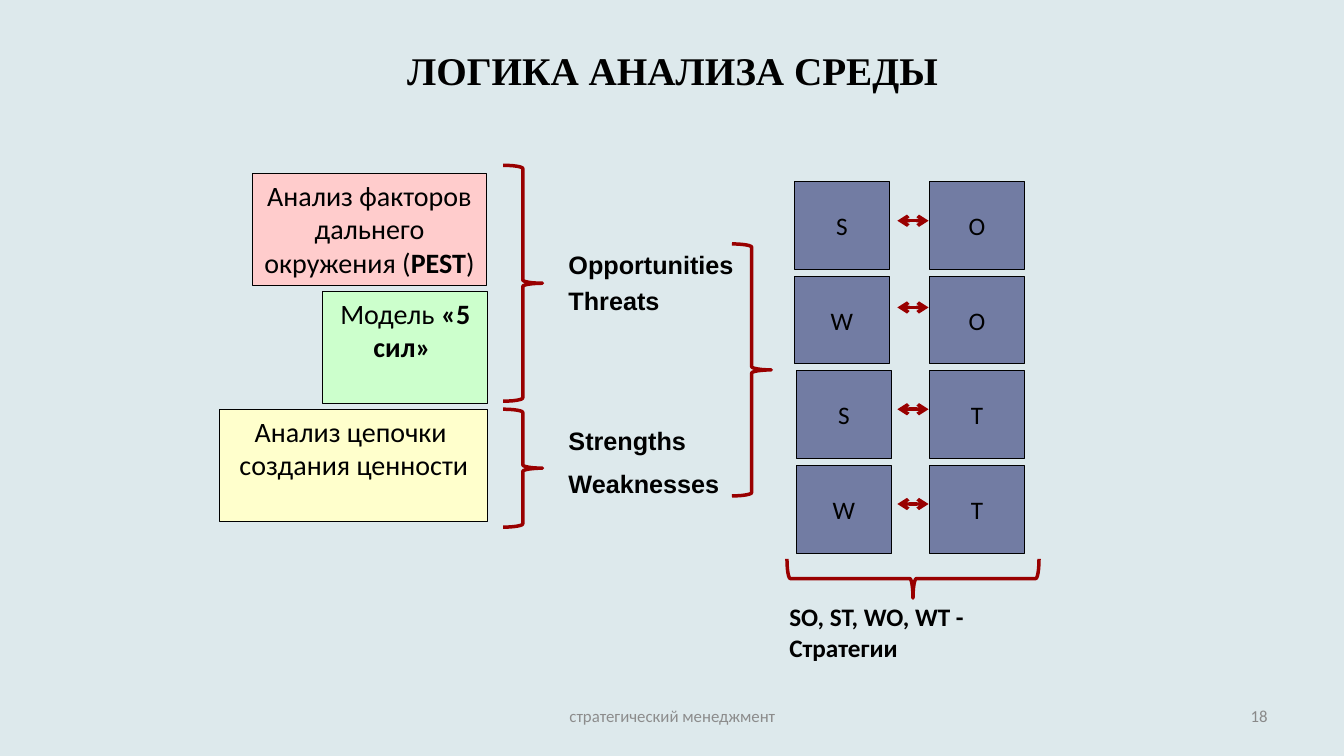
from dataclasses import dataclass

from lxml import etree
from pptx import Presentation
from pptx.dml.color import RGBColor
from pptx.enum.shapes import MSO_CONNECTOR, MSO_SHAPE
from pptx.enum.text import MSO_ANCHOR, PP_ALIGN
from pptx.oxml.ns import qn
from pptx.util import Inches, Pt

RECTANGLE, BRACE = MSO_SHAPE.RECTANGLE, MSO_SHAPE.RIGHT_BRACE
STRAIGHT = MSO_CONNECTOR.STRAIGHT
TOP, MIDDLE = MSO_ANCHOR.TOP, MSO_ANCHOR.MIDDLE
LEFT, CENTER, RIGHT = PP_ALIGN.LEFT, PP_ALIGN.CENTER, PP_ALIGN.RIGHT
BLACK, DARK_RED, SLATE = "000000", "990000", "727CA3"


@dataclass(frozen=True)
class Box:
    left: float
    top: float
    width: float
    height: float

    def lengths(self) -> tuple:
        return tuple(Inches(v) for v in (self.left, self.top, self.width, self.height))


@dataclass(frozen=True)
class Run:
    text: str
    bold: bool = False


@dataclass(frozen=True)
class Style:
    size: float
    font: str = "Calibri"
    color: str = BLACK
    align: PP_ALIGN = LEFT
    anchor: MSO_ANCHOR = TOP


@dataclass(frozen=True)
class Analysis:
    box: Box
    fill: str
    paragraphs: list


@dataclass(frozen=True)
class Label:
    box: Box
    run: Run
    style: Style


def rgb(value: str) -> RGBColor:
    return RGBColor.from_string(value)


def write(shape, paragraphs: list, style: Style) -> None:
    frame = shape.text_frame
    frame.word_wrap = True
    frame.vertical_anchor = style.anchor
    for index, runs in enumerate(paragraphs):
        paragraph = frame.add_paragraph() if index else frame.paragraphs[0]
        paragraph.alignment = style.align
        paragraph.font.size = Pt(style.size)
        paragraph.font.name = style.font
        paragraph.font.color.rgb = rgb(style.color)
        for part in runs:
            for line_index, line in enumerate(part.text.split("\n")):
                if line_index:
                    paragraph.add_line_break()
                run = paragraph.add_run()
                run.text = line
                run.font.bold = part.bold


def draw_rectangle(box: Box, fill: str, paragraphs: list, style: Style) -> None:
    rectangle = slide.shapes.add_shape(RECTANGLE, *box.lengths())
    rectangle.shadow.inherit = False
    rectangle.fill.solid()
    rectangle.fill.fore_color.rgb = rgb(fill)
    rectangle.line.color.rgb = rgb(BLACK)
    rectangle.line.width = Pt(0.75)
    write(rectangle, paragraphs, style)


def draw_brace(box: Box, rotation: float = 0) -> None:
    brace = slide.shapes.add_shape(BRACE, *box.lengths())
    brace.rotation = rotation
    brace.shadow.inherit = False
    brace.fill.background()
    brace.line.color.rgb = rgb(DARK_RED)
    brace.line.width = Pt(2.5)


def draw_double_arrow(left: float, right: float, y: float) -> None:
    arrow = slide.shapes.add_connector(
        STRAIGHT, Inches(left), Inches(y), Inches(right), Inches(y))
    arrow.line.color.rgb = rgb(DARK_RED)
    arrow.line.width = Pt(2.5)
    outline = arrow.line._get_or_add_ln()
    for end in ("a:headEnd", "a:tailEnd"):
        etree.SubElement(outline, qn(end)).set("type", "arrow")
    etree.SubElement(arrow._element.spPr, qn("a:effectLst"))


def draw_label(label: Label) -> None:
    text_box = slide.shapes.add_textbox(*label.box.lengths())
    write(text_box, [[label.run]], label.style)


presentation = Presentation()
presentation.slide_width, presentation.slide_height = Inches(13.33), Inches(7.5)
slide = presentation.slides.add_slide(presentation.slide_layouts[6])
slide.background.fill.solid()
slide.background.fill.fore_color.rgb = rgb("DDE9EC")

# Kinds of analysis
analyses = [
    Analysis(Box(2.5, 1.72, 2.33, 1.11), "FFCCCC", [
        [Run("Анализ факторов дальнего")],
        [Run("окружения ("), Run("PEST", True), Run(") ")]]),
    Analysis(Box(3.2, 2.89, 1.64, 1.11), "CCFFCC", [
        [Run("Модель "), Run("«5 сил» ", True)]]),
    Analysis(Box(2.18, 4.06, 2.66, 1.11), "FFFFCC", [
        [Run("Анализ цепочки ")], [Run("создания ценности")]]),
]
for analysis in analyses:
    draw_rectangle(analysis.box, analysis.fill, analysis.paragraphs,
                   Style(20, align=CENTER))

# Braces; the last one points down to the strategies
for left, top, height, rotation in [
        (4.99, 1.64, 2.34, 0), (4.99, 4.06, 1.17, 0),
        (7.26, 2.42, 2.5, 0), (8.86, 4.49, 2.5, 90)]:
    draw_brace(Box(left, top, 0.39, height), rotation)

# SWOT factors
for factor, top in [("Opportunities", 2.42), ("Threats", 2.78),
                    ("Strengths", 4.17), ("Weaknesses", 4.6)]:
    draw_label(Label(Box(5.54, top, 1.9, 0.4), Run(factor, True), Style(18, "Arial")))

# Factor pairs
PAIRS_TOP, PAIR_STEP = 1.8, 0.94
pairs = [("S", "O", 7.88, 2.19), ("W", "O", 7.88, 3.05),
         ("S", "T", 7.9, 4.06), ("W", "T", 7.9, 5)]
for row, (internal, external, internal_left, arrow_y) in enumerate(pairs):
    for letter, left in ((internal, internal_left), (external, 9.22)):
        draw_rectangle(Box(left, PAIRS_TOP + row * PAIR_STEP, 0.94, 0.87), SLATE,
                       [[Run(letter)]], Style(18, align=CENTER, anchor=MIDDLE))
    draw_double_arrow(8.9, 9.21, arrow_y)

# Title, strategies and footer
for label in [
    Label(Box(2.17, 0.3, 9, 0.79), Run("ЛОГИКА АНАЛИЗА СРЕДЫ", True),
          Style(28, "Times New Roman", align=CENTER, anchor=MIDDLE)),
    Label(Box(7.73, 5.92, 3.09, 0.7), Run("SO, ST, WO, WT -\nСтратегии", True),
          Style(18)),
    Label(Box(4.56, 6.95, 4.22, 0.4), Run("стратегический менеджмент"),
          Style(12, color="8C8C8C", align=CENTER)),
    Label(Box(9.56, 6.95, 3.11, 0.4), Run("18"),
          Style(12, color="898989", align=RIGHT)),
]:
    draw_label(label)

presentation.save("out.pptx")
